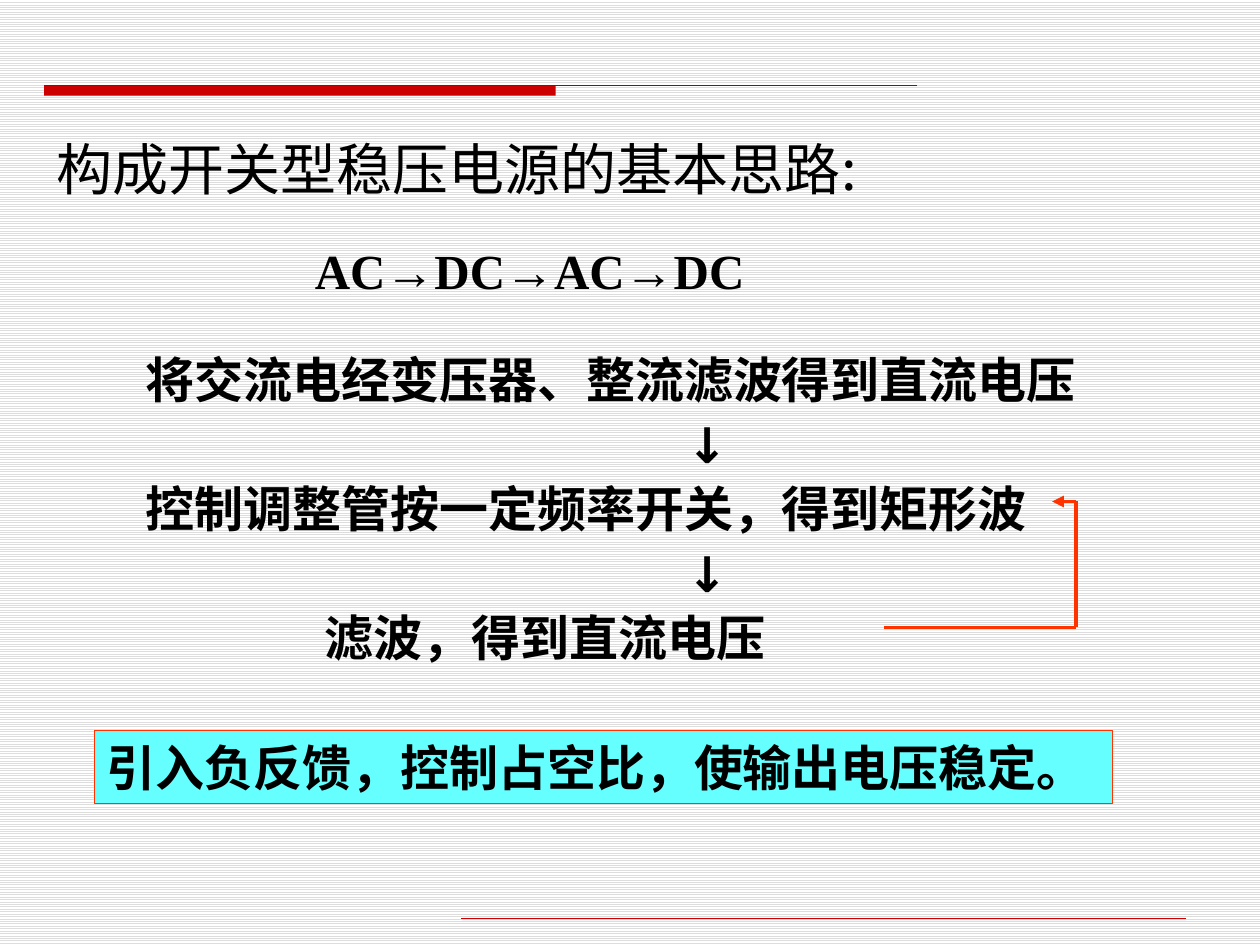
"""Build the slide on the basic idea of a switching regulated power supply."""
from dataclasses import dataclass

from lxml.etree import SubElement
from pptx import Presentation
from pptx.dml.color import RGBColor
from pptx.enum.dml import MSO_PATTERN
from pptx.enum.shapes import MSO_CONNECTOR, MSO_SHAPE
from pptx.enum.text import MSO_ANCHOR, PP_ALIGN
from pptx.oxml.ns import qn
from pptx.util import Inches, Pt

COLORS = {
    "text": "000000", "bar": "CC0000", "rule": "333333", "footer": "CC0000",
    "feedback": "FF3300", "box": "66FFFF", "stripe": "DDDDDD", "paper": "FFFFFF",
}
CJK, SERIF, SANS = "Noto Sans CJK SC", "Times New Roman", "DejaVu Sans"


@dataclass(frozen=True)
class Step:
    text: str
    indent: float


@dataclass(frozen=True)
class Line:
    start: tuple[float, float]
    end: tuple[float, float]
    color: str
    width: float
    arrow: bool = False


STEPS = [
    Step("将交流电经变压器、整流滤波得到直流电压", 0.16),
    Step("↓", 4.45),
    Step("控制调整管按一定频率开关，得到矩形波", 0.16),
    Step("↓", 4.45),
    Step("滤波，得到直流电压", 1.58),
]
LINES = [
    Line((0.35, 0.68), (7.28, 0.68), "rule", 0.75),
    Line((3.66, 7.29), (9.41, 7.29), "footer", 0.25),
    Line((7.02, 4.98), (8.54, 4.98), "feedback", 2.25),
    Line((8.54, 4.98), (8.54, 3.98), "feedback", 2.25),
    Line((8.54, 3.98), (8.35, 3.98), "feedback", 2.25, arrow=True),
]


def rgb(name: str) -> RGBColor:
    return RGBColor.from_string(COLORS[name])


def format_text(p, size: float, latin: str, bold: bool = False) -> None:
    p.alignment = PP_ALIGN.LEFT
    p.font.size, p.font.bold, p.font.name = Pt(size), bold, latin
    p.font.color.rgb = rgb("text")
    for r in p.runs:
        SubElement(r._r.get_or_add_rPr(), qn("a:ea")).set("typeface", CJK)


def place(sp, left: float, top: float, width: float, height: float) -> None:
    sp.left, sp.top = Inches(left), Inches(top)
    sp.width, sp.height = Inches(width), Inches(height)


def add_rect(slide, left: float, top: float, width: float, height: float, fill: str):
    sp = slide.shapes.add_shape(
        MSO_SHAPE.RECTANGLE, Inches(left), Inches(top), Inches(width), Inches(height))
    sp.shadow.inherit = False
    sp.fill.solid()
    sp.fill.fore_color.rgb = rgb(fill)
    sp.line.fill.background()
    return sp


def add_line(slide, line: Line) -> None:
    points = [Inches(v) for v in (*line.start, *line.end)]
    cxn = slide.shapes.add_connector(MSO_CONNECTOR.STRAIGHT, *points)
    cxn.line.color.rgb, cxn.line.width = rgb(line.color), Pt(line.width)
    if line.arrow:
        SubElement(cxn.line._get_or_add_ln(), qn("a:tailEnd")).set("type", "triangle")
    SubElement(cxn._element.spPr, qn("a:effectLst"))


def add_textbox(slide, left: float, top: float, width: float, height: float):
    sp = slide.shapes.add_textbox(
        Inches(left), Inches(top), Inches(width), Inches(height))
    sp.text_frame.word_wrap = True
    return sp.text_frame


def add_steps(slide, steps: list[Step]) -> None:
    tf = add_textbox(slide, 0.9, 2.68, 8.08, 2.76)
    for i, step in enumerate(steps):
        p = tf.add_paragraph() if i else tf.paragraphs[0]
        p.text = step.text
        p.line_spacing = Pt(36.9)
        p._p.get_or_add_pPr().set("marL", str(Inches(step.indent)))
        format_text(p, 28, SANS, bold=True)


def main() -> None:
    prs = Presentation()
    prs.slide_width, prs.slide_height = Inches(10), Inches(7.5)
    slide = prs.slides.add_slide(prs.slide_layouts[5])

    fill = slide.background.fill
    fill.patterned()
    fill.pattern = MSO_PATTERN.LIGHT_HORIZONTAL
    fill.fore_color.rgb, fill.back_color.rgb = rgb("stripe"), rgb("paper")

    title = slide.shapes.title
    place(title, 0.35, 1.07, 7.52, 0.58)
    title.text = "构成开关型稳压电源的基本思路:"
    title.text_frame.vertical_anchor = MSO_ANCHOR.BOTTOM
    title.text_frame.paragraphs[0].line_spacing = 0.85
    format_text(title.text_frame.paragraphs[0], 32, CJK)

    add_rect(slide, 0.35, 0.68, 4.06, 0.08, "bar")
    add_steps(slide, STEPS)
    for line in LINES:
        add_line(slide, line)

    box = add_rect(slide, 0.75, 5.8, 8.08, 0.58, "box")
    box.line.color.rgb, box.line.width = rgb("feedback"), Pt(0.75)
    box.text_frame.text = "引入负反馈，控制占空比，使输出电压稳定。"
    box.text_frame.vertical_anchor = MSO_ANCHOR.MIDDLE
    format_text(box.text_frame.paragraphs[0], 28, SERIF, bold=True)

    tf = add_textbox(slide, 2.4, 1.86, 5.51, 0.57)
    tf.text = "AC→DC→AC→DC"
    format_text(tf.paragraphs[0], 28, SERIF, bold=True)

    prs.save("out.pptx")


if __name__ == "__main__":
    main()
